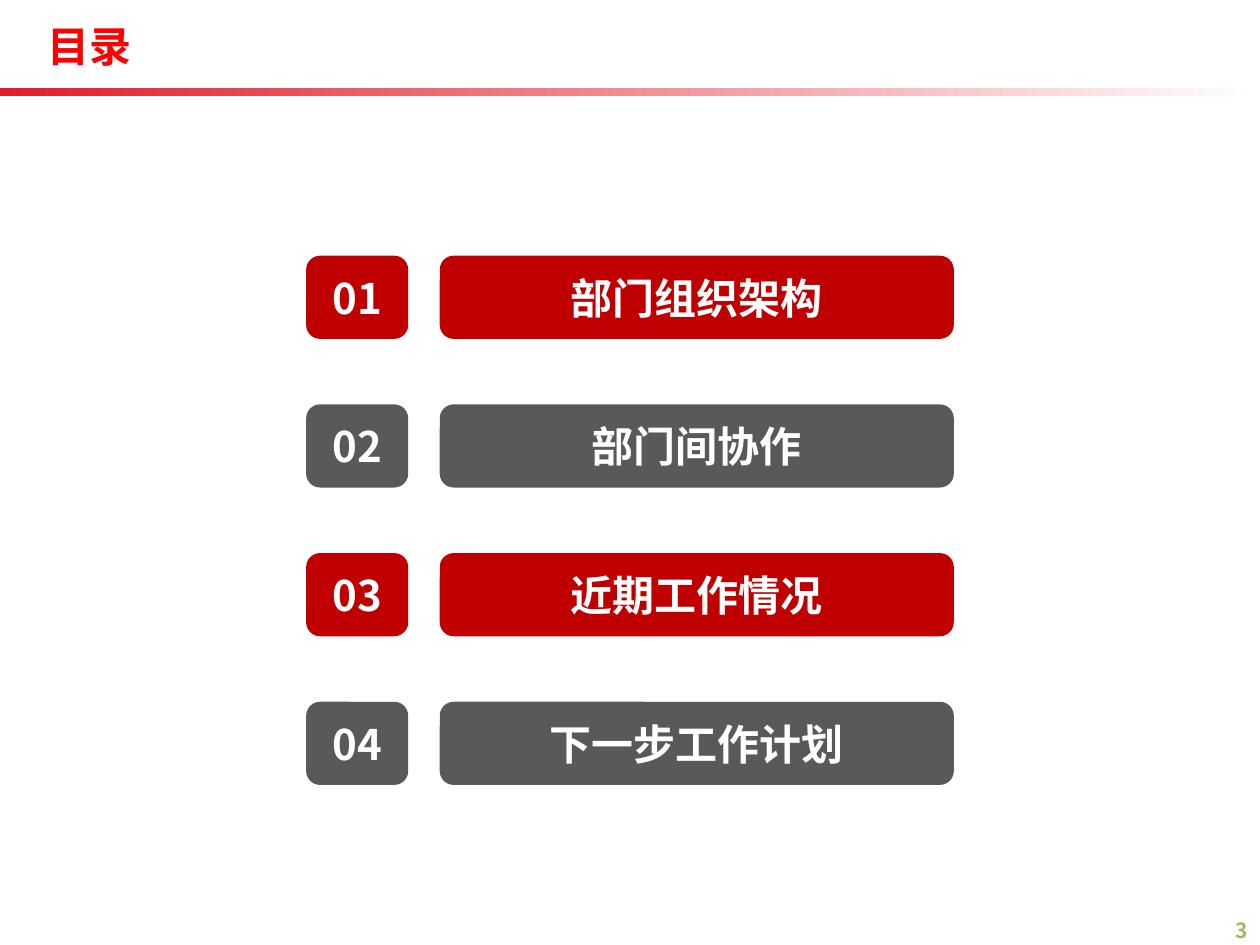
"""Build the contents slide of a department report."""
import dataclasses

import lxml.etree
import pptx
import pptx.dml.color
import pptx.enum.shapes
import pptx.enum.text
import pptx.oxml.ns
import pptx.util

ALIGN = pptx.enum.text.PP_ALIGN
ANCHOR = pptx.enum.text.MSO_ANCHOR
SHAPE = pptx.enum.shapes.MSO_SHAPE
TOPICS = ["部门组织架构", "部门间协作", "近期工作情况", "下一步工作计划"]


@dataclasses.dataclass(frozen=True)
class Theme:
    """Colours, font and type sizes of the deck."""
    font: str = "Noto Sans CJK SC"
    heading: str = "FF0000"
    rule_start: str = "E11D27"
    white: str = "FFFFFF"
    page: str = "9BBB59"
    rows: tuple = ("C00000", "595959")
    large: int = 24
    small: int = 12


@dataclasses.dataclass(frozen=True)
class Grid:
    """Rows and columns of the agenda, in inches."""
    top: float = 2.03
    pitch: float = 1.18
    height: float = 0.66
    number: tuple = (2.43, 0.81)
    topic: tuple = (3.49, 4.08)


THEME = Theme()
GRID = Grid()


def rgb(value):
    """Return a colour for a hex string."""
    return pptx.dml.color.RGBColor.from_string(value)


def inches(*lengths):
    """Convert lengths in inches to slide units."""
    return [pptx.util.Inches(length) for length in lengths]


def write(shape, text, size, color, align=ALIGN.LEFT, anchor=ANCHOR.TOP, wrap=True):
    """Put one bold line of text in a shape."""
    frame = shape.text_frame
    frame.text = text
    frame_format = {
        "auto_size": pptx.enum.text.MSO_AUTO_SIZE.NONE,
        "word_wrap": wrap,
        "vertical_anchor": anchor,
    }
    for name, value in frame_format.items():
        setattr(frame, name, value)
    paragraph = frame.paragraphs[0]
    paragraph.alignment = align
    font = paragraph.runs[0].font
    font_format = {"name": THEME.font, "size": pptx.util.Pt(size), "bold": True}
    for name, value in font_format.items():
        setattr(font, name, value)
    font.color.rgb = rgb(color)
    properties = paragraph.runs[0]._r.get_or_add_rPr()
    east_asian = lxml.etree.SubElement(properties, pptx.oxml.ns.qn("a:ea"))
    east_asian.set("typeface", THEME.font)


def add_heading(slide, text):
    """Place the slide title above the rule."""
    title = slide.shapes.title
    title.left, title.top, title.width, title.height = inches(0.28, 0.11, 6.11, 0.51)
    write(title, text, THEME.large, THEME.heading)


def add_rule(slide):
    """Draw the full-width fading rule."""
    rule = slide.shapes.add_shape(SHAPE.RECTANGLE, *inches(0, 0.7, 10, 0.06))
    rule.shadow.inherit = False
    rule.line.fill.background()
    rule.fill.gradient()
    rule.fill.gradient_angle = 0
    for stop, color in zip(rule.fill.gradient_stops, (THEME.rule_start, THEME.white)):
        stop.color.rgb = rgb(color)


def add_page_number(slide, number):
    """Write the page number in the bottom right corner."""
    page = slide.shapes.add_textbox(*inches(9.57, 7.23, 0.43, 0.34))
    write(page, str(number), THEME.small, THEME.page, ALIGN.RIGHT)


def add_tile(row, column, top, text, color):
    """Add one rounded tile to an agenda row."""
    left, width = column
    tile = row.shapes.add_shape(
        SHAPE.ROUNDED_RECTANGLE, *inches(left, top, width, GRID.height))
    tile.adjustments[0] = 0.167
    tile.shadow.inherit = False
    tile.fill.solid()
    tile.fill.fore_color.rgb = rgb(color)
    tile.line.fill.background()
    write(tile, text, THEME.large, THEME.white, ALIGN.CENTER, ANCHOR.MIDDLE)


def add_agenda(slide, topics):
    """Add a numbered row per topic in alternating colours."""
    for index, topic in enumerate(topics):
        row = slide.shapes.add_group_shape()
        top = GRID.top + index * GRID.pitch
        color = THEME.rows[index % len(THEME.rows)]
        add_tile(row, GRID.number, top, f"{index + 1:02d}", color)
        add_tile(row, GRID.topic, top, topic, color)


def main():
    """Build and save the slide."""
    deck = pptx.Presentation()
    deck.slide_width, deck.slide_height = inches(10, 7.5)
    slide = deck.slides.add_slide(deck.slide_layouts.get_by_name("Title Only"))
    add_page_number(slide, 3)
    add_rule(slide)
    add_heading(slide, "目录")
    add_agenda(slide, TOPICS)
    deck.save("out.pptx")


if __name__ == "__main__":
    main()
